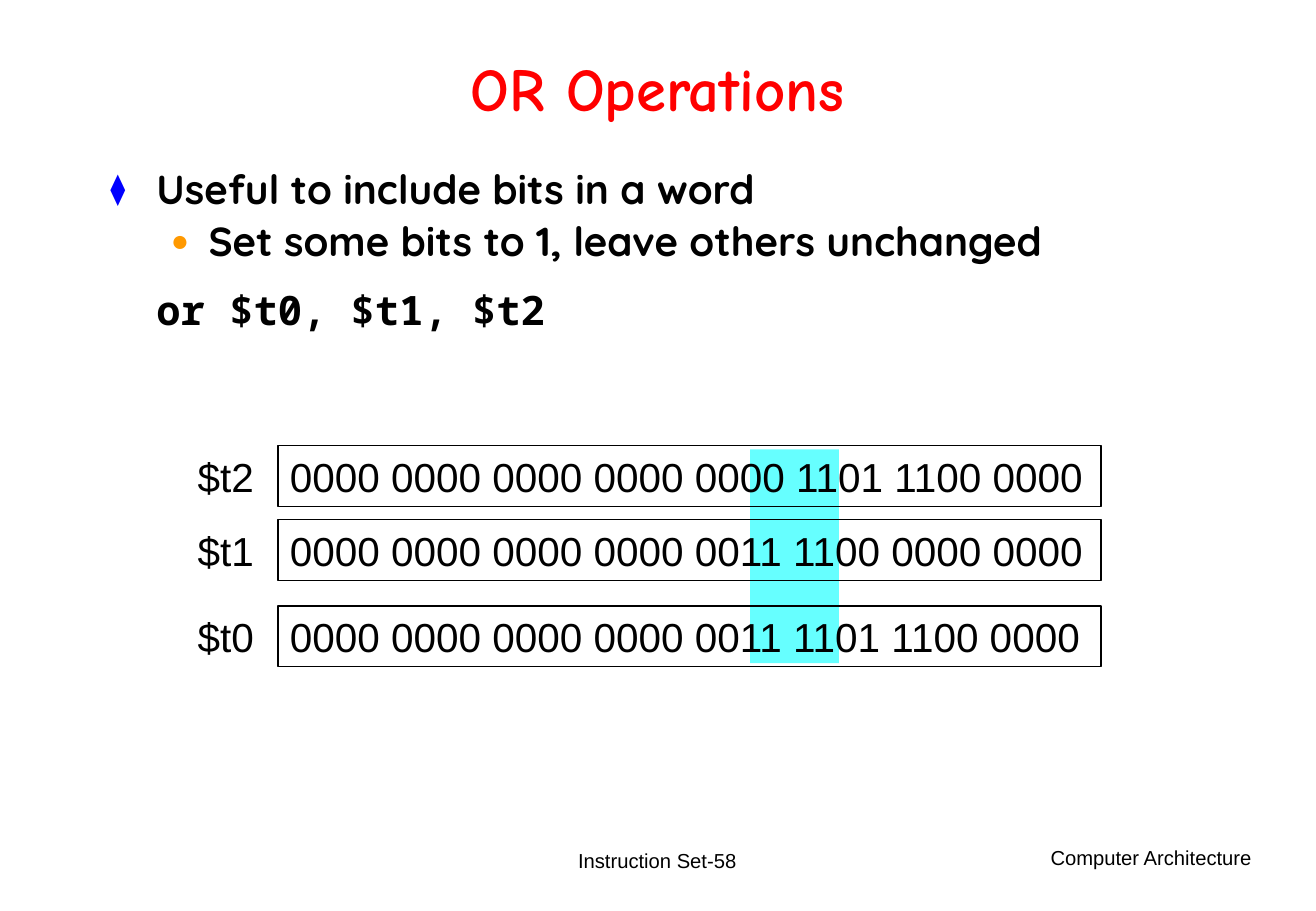
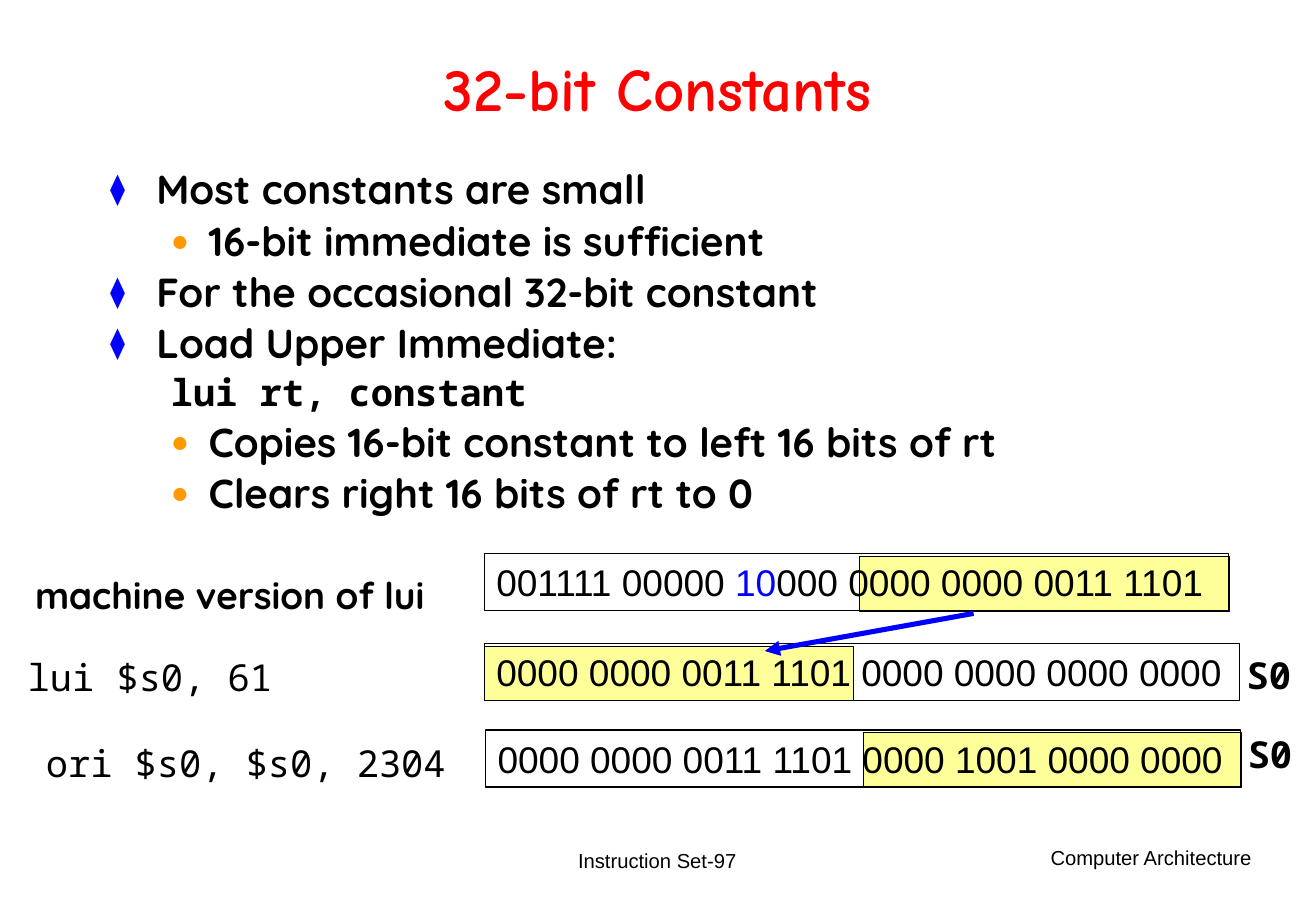
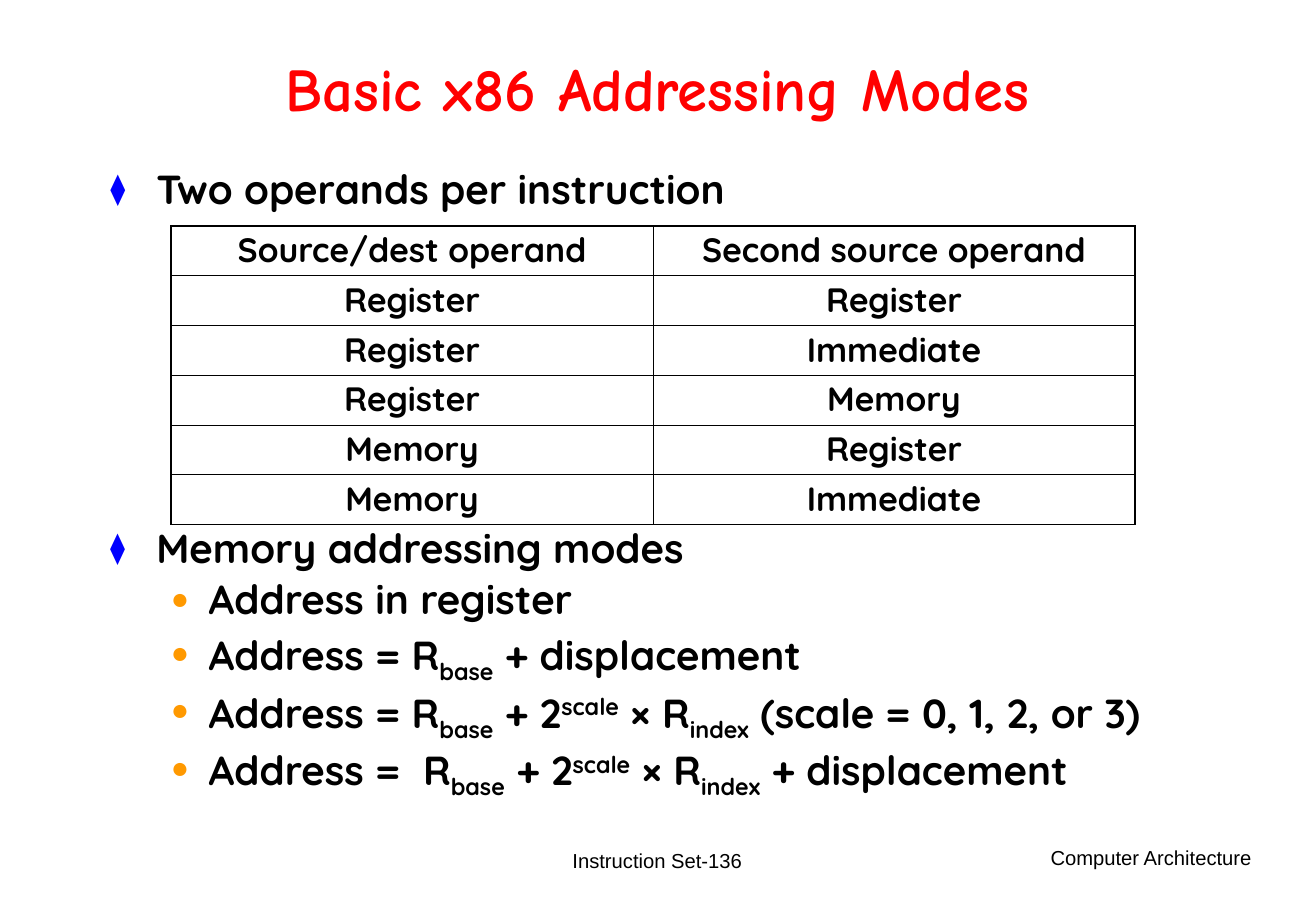
import pptx
import pptx.util
import pptx.dml.color
import pptx.enum.shapes
import pptx.enum.text
import pptx.oxml
import pptx.oxml.ns
from lxml import etree

Inches, Pt = pptx.util.Inches, pptx.util.Pt
ALIGN = pptx.enum.text.PP_ALIGN
ANCHOR = pptx.enum.text.MSO_ANCHOR
AUTO = pptx.enum.text.MSO_AUTO_SIZE
RECT = pptx.enum.shapes.MSO_SHAPE.RECTANGLE
qn = pptx.oxml.ns.qn

# Shared look
COLORS = {"text": "000000", "title": "FF0000", "blue": "0000FF",
          "orange": "FF9900", "cyan": "66FFFF", "yellow": "FFFF99"}
SANS, MONO, BODY, TITLE = "Arial", "Noto Sans Mono", "Quicksand", "Comic Neue"
STYLES = {
    "point": dict(left=0.38, hang=0.38, bullet="⧫", color="blue", before=4.5),
    "sub": dict(left=0.81, hang=0.31, bullet="●", color="orange", before=4.5),
    "code": dict(left=0.38, font=MONO, before=15, after=9),
    "subcode": dict(left=0.5, font=MONO, size=22, before=4.1),
}
BASELINES = {"low": "-25000", "high": "30000"}

# Slide 1 content
OR_BODY = [("point", "Useful to include bits in a word"),
           ("sub", "Set some bits to 1, leave others unchanged"),
           ("code", "or $t0, $t1, $t2")]
REGISTERS = [("$t2", "0000 0000 0000 0000 0000 1101 1100 0000", 3.67),
             ("$t1", "0000 0000 0000 0000 0011 1100 0000 0000", 4.28),
             ("$t0", "0000 0000 0000 0000 0011 1101 1100 0000", 4.99)]

# Slide 2 content
CONST_BODY = [("point", "Most constants are small"),
              ("sub", "16-bit immediate is sufficient"),
              ("point", "For the occasional 32-bit constant"),
              ("point", "Load Upper Immediate:"),
              ("subcode", "lui rt, constant"),
              ("sub", "Copies 16-bit constant to left 16 bits of rt"),
              ("sub", "Clears right 16 bits of rt to 0")]
# bits, left, top, width, then left and width of the highlighted half
WORDS = [([("001111 00000 ", ""), ("10", "blue"), ("000 0000 0000 0011 1101", "")],
          3.99, 4.56, 6.13, 7.08, 3.05),
         ("0000 0000 0011 1101 0000 0000 0000 0000", 3.99, 5.3, 6.22, 3.99, 3.04),
         ("0000 0000 0011 1101 0000 1001 0000 0000", 4, 6.01, 6.22, 7.11, 3.12)]
# text, left, top, width, font, bold
WORD_LABELS = [("machine version of lui", 0.19, 4.66, 3.52, BODY, True),
               ("lui $s0, 61", 0.13, 5.34, 2.22, MONO, False),
               ("ori $s0, $s0, 2304", 0.28, 6.05, 3.5, MONO, False),
               ("S0", 10.17, 5.32, 0.62, MONO, True),
               ("S0", 10.18, 5.97, 0.62, MONO, True)]

# Slide 3 content
OPERANDS = [("Source/dest operand", "Second source operand"),
            ("Register", "Register"), ("Register", "Immediate"),
            ("Register", "Memory"), ("Memory", "Register"),
            ("Memory", "Immediate")]
BASE = ("base", "low")
SCALED = [BASE, (" + 2", ""), ("scale", "high"), (" × R", ""), ("index", "low")]
MODES = [("point", "Memory addressing modes"),
         ("sub", "Address in register"),
         ("sub", [("Address = R", ""), BASE, (" + displacement", "")]),
         ("sub", [("Address = R", ""), *SCALED, (" (scale = 0, 1, 2, or 3)", "")]),
         ("sub", [("Address =  R", ""), *SCALED, (" + displacement", "")])]


def rgb(name):
    return pptx.dml.color.RGBColor.from_string(COLORS[name])


def write(p, content, size, font, bold=False, color="text"):
    """Fill a paragraph from a string or a list of (text, mark) runs."""
    runs = [(content, "")] if isinstance(content, str) else content
    for text, mark in runs:
        r = p.add_run()
        r.text = text
        r.font.size, r.font.name, r.font.bold = Pt(size), font, bold
        r.font.color.rgb = rgb(mark if mark in COLORS else color)
        if mark in BASELINES:
            r._r.get_or_add_rPr().set("baseline", BASELINES[mark])


def text_box(slide, box, content, size, font, bold=False, color="text",
             align=ALIGN.LEFT, anchor=ANCHOR.TOP, wrap=False, grow=True):
    tf = slide.shapes.add_textbox(*map(Inches, box)).text_frame
    tf.word_wrap, tf.vertical_anchor = wrap, anchor
    tf.auto_size = AUTO.SHAPE_TO_FIT_TEXT if grow else AUTO.NONE
    p = tf.paragraphs[0]
    p.alignment = align
    write(p, content, size, font, bold, color)
    return p


def rect(slide, box, fill=None, outlined=True):
    sp = slide.shapes.add_shape(RECT, *map(Inches, box))
    sp.shadow.inherit = False
    if fill:
        sp.fill.solid()
        sp.fill.fore_color.rgb = rgb(fill)
    else:
        sp.fill.background()
    if outlined:
        sp.line.color.rgb = rgb("text")
        sp.line.width = Pt(0.75)
    else:
        sp.line.fill.background()
    return sp


def bit_box(slide, box, bits, size):
    tf = rect(slide, box).text_frame
    tf.word_wrap, tf.vertical_anchor = False, ANCHOR.TOP
    tf.auto_size = AUTO.SHAPE_TO_FIT_TEXT
    tf.paragraphs[0].alignment = ALIGN.LEFT
    write(tf.paragraphs[0], bits, size, SANS)


def bullet_list(slide, box, items):
    tf = slide.shapes.add_textbox(*map(Inches, box)).text_frame
    tf.word_wrap = True
    for i, (style, content) in enumerate(items):
        s = STYLES[style]
        p = tf.add_paragraph() if i else tf.paragraphs[0]
        pPr = p._p.get_or_add_pPr()
        pPr.set("marL", str(Inches(s["left"])))
        pPr.set("indent", str(-Inches(s.get("hang", 0))))
        if "bullet" in s:
            clr = etree.SubElement(pPr, qn("a:buClr"))
            etree.SubElement(clr, qn("a:srgbClr"), val=COLORS[s["color"]])
            etree.SubElement(pPr, qn("a:buSzPct"), val="75000")
            etree.SubElement(pPr, qn("a:buFont"), typeface=SANS)
            etree.SubElement(pPr, qn("a:buChar"), char=s["bullet"])
        p.line_spacing = 0.9
        p.space_before = Pt(s["before"] if i else 0)
        p.space_after = Pt(s.get("after", 0))
        write(p, content, s.get("size", 24), s.get("font", BODY), True)


def new_slide(prs, title, number):
    """Blank slide with the common title and footers."""
    slide = prs.slides.add_slide(prs.slide_layouts[6])
    text_box(slide, (8.12, 6.91, 2.29, 0.5), "Computer Architecture", 12, SANS,
             align=ALIGN.RIGHT)
    text_box(slide, (3.7, 6.83, 3.43, 0.5), f"Instruction Set-{number}", 12, SANS,
             align=ALIGN.CENTER, anchor=ANCHOR.MIDDLE, grow=False)
    p = text_box(slide, (0.81, 0.27, 9.21, 0.99), title, 36, TITLE, True, "title",
                 ALIGN.CENTER, ANCHOR.MIDDLE, wrap=True, grow=False)
    p.line_spacing = 0.85
    return slide


def arrow(slide, start, end):
    ln = slide.shapes.add_connector(pptx.enum.shapes.MSO_CONNECTOR.STRAIGHT,
                                    *map(Inches, start + end))
    ln.line.color.rgb = rgb("blue")
    ln.line.width = Pt(3)
    etree.SubElement(ln.line._get_or_add_ln(), qn("a:tailEnd"), type="triangle")
    etree.SubElement(ln._element.spPr, qn("a:effectLst"))


def cell_borders(cell, widths):
    tcPr = cell._tc.get_or_add_tcPr()
    for i, (side, width) in enumerate(zip("LRTB", widths)):
        ln = etree.Element(qn(f"a:ln{side}"), w=str(Pt(width)))
        fill = etree.SubElement(ln, qn("a:solidFill"))
        etree.SubElement(fill, qn("a:srgbClr"), val=COLORS["text"])
        tcPr.insert(i, ln)


def operand_table(slide, rows, left, top, col_w, row_h, outer=1.08, inner=0.45):
    n_rows, n_cols = len(rows), len(rows[0])
    table = slide.shapes.add_table(n_rows, n_cols, Inches(left), Inches(top),
                                   Inches(col_w * n_cols), Inches(row_h * n_rows)).table
    table.first_row = table.horz_banding = False
    for i, row in enumerate(rows):
        for j, text in enumerate(row):
            cell = table.cell(i, j)
            cell.fill.background()
            edges = (j == 0, j == n_cols - 1, i == 0, i == n_rows - 1)
            cell_borders(cell, [outer if e else inner for e in edges])
            p = cell.text_frame.paragraphs[0]
            p.alignment, p.line_spacing = ALIGN.CENTER, 0.9
            write(p, text, 20, BODY, True)


def or_slide(prs):
    slide = new_slide(prs, "OR Operations", 58)
    bullet_list(slide, (0.81, 1.35, 9.21, 2.25), OR_BODY)
    rect(slide, (6.18, 3.7, 0.73, 1.76), "cyan", outlined=False)
    for name, bits, top in REGISTERS:
        text_box(slide, (1.53, top, 0.66, 0.5), name, 24, SANS)
        bit_box(slide, (2.29, top, 6.78, 0.5), bits, 24)


def constants_slide(prs):
    slide = new_slide(prs, "32-bit Constants", 97)
    bullet_list(slide, (0.81, 1.35, 9.3, 3.19), CONST_BODY)
    for bits, left, top, width, half_left, half_width in WORDS:
        rect(slide, (half_left, top + 0.02, half_width, 0.45), "yellow")
        bit_box(slide, (left, top, width, 0.47), bits, 22)
    for text, left, top, width, font, bold in WORD_LABELS:
        text_box(slide, (left, top, width, 0.47), text, 22, font, bold)
    arrow(slide, (8.02, 5.05), (6.3, 5.36))


def addressing_slide(prs):
    slide = new_slide(prs, "Basic x86 Addressing Modes", 136)
    bullet_list(slide, (0.81, 1.35, 9.21, 0.7),
                [("point", "Two operands per instruction")])
    operand_table(slide, OPERANDS, 1.41, 1.86, 3.97, 0.41)
    bullet_list(slide, (0.81, 4.3, 9.8, 2.52), MODES)


def main():
    prs = pptx.Presentation()
    prs.slide_width, prs.slide_height = Inches(10.84), Inches(7.5)
    or_slide(prs)
    constants_slide(prs)
    addressing_slide(prs)
    prs.save("out.pptx")


if __name__ == "__main__":
    main()
